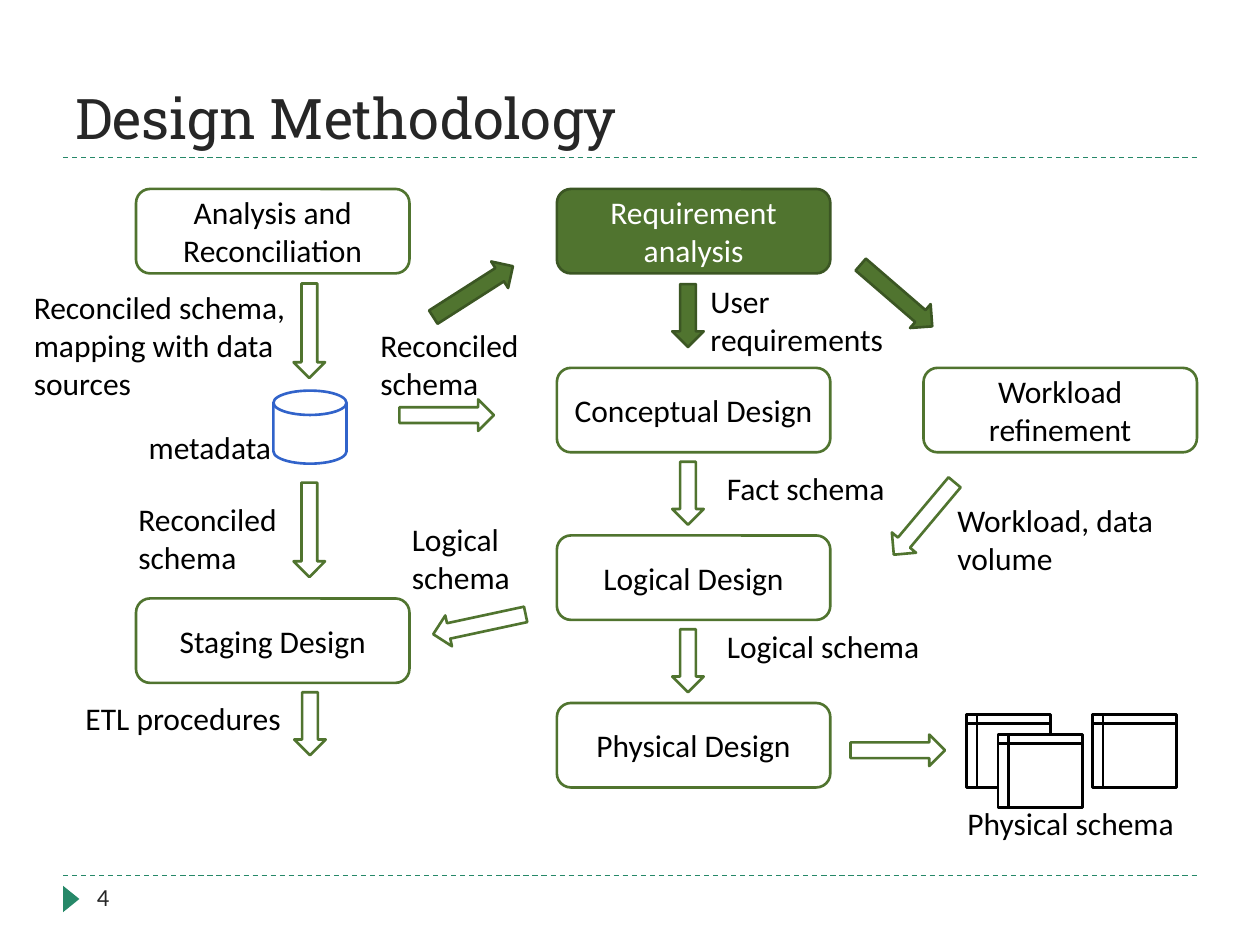
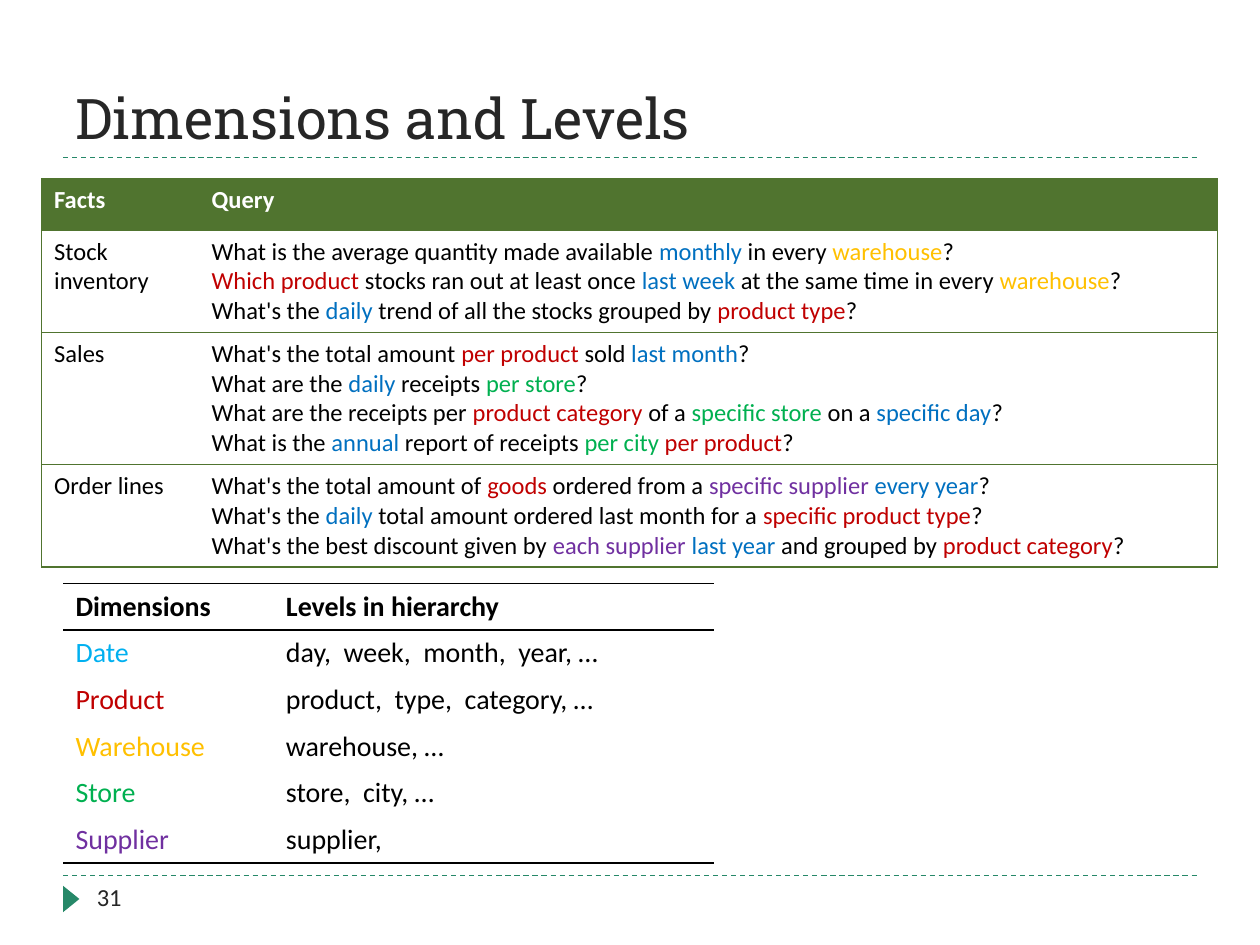
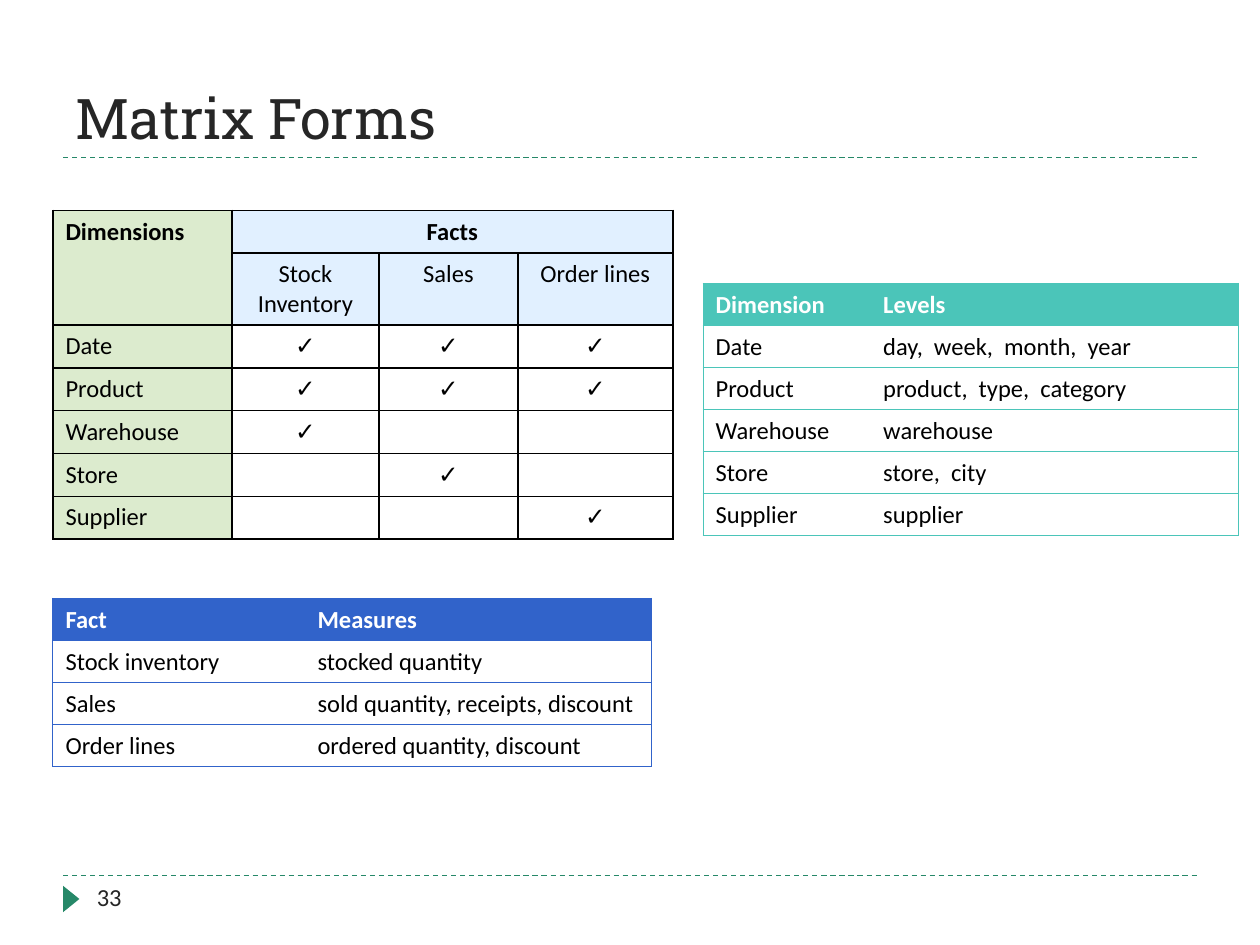
from lxml import etree
from pptx import Presentation
from pptx.dml.color import RGBColor
from pptx.enum import dml, shapes, text
from pptx.oxml.ns import qn
from pptx.util import Inches, Pt

COLORS = {
    "white": "FFFFFF", "black": "000000", "ink": "262626", "rule": "268868",
    "green": "50742F", "dark_green": "3B5623", "blue": "3163CA", "teal": "4BC5B9",
    "pale_green": "DCEBCE", "pale_blue": "E1F0FF",
    "time": "0070C0", "date": "00B0F0", "product": "C00000",
    "warehouse": "FFC000", "store": "00B050", "supplier": "7030A0",
}
BODY_FONT = "Calibri"
TITLE_FONT = "Roboto Slab"
STEP_W, STEP_H = 2.17, 0.67
ARROW_H = 0.25
MARGIN, RULE_W = 0.5, 9
TITLE_RULE_Y, FOOTER_Y = 1.25, 6.95
SHAPE = shapes.MSO_SHAPE
ALIGN = text.PP_ALIGN


def rgb(name):
    return RGBColor.from_string(COLORS[name])


def style(p, size, color="black", bold=False, align=ALIGN.LEFT, font=BODY_FONT):
    p.alignment = align
    p.font.name = font
    p.font.size = Pt(size)
    p.font.bold = bold
    p.font.color.rgb = rgb(color)


def add_text(slide, x, y, w, h, words, size=18, color="black", align=ALIGN.LEFT):
    tf = slide.shapes.add_textbox(Inches(x), Inches(y), Inches(w), Inches(h)).text_frame
    tf.word_wrap = True
    tf.text = words
    for p in tf.paragraphs:
        style(p, size, color, align=align)


def add_shape(slide, kind, x, y, w, h, fill="white", line=None, rotation=0):
    sp = slide.shapes.add_shape(kind, Inches(x), Inches(y), Inches(w), Inches(h))
    sp.shadow.inherit = False
    sp.rotation = rotation
    sp.fill.solid()
    sp.fill.fore_color.rgb = rgb(fill)
    if line:
        sp.line.color.rgb = rgb(line)
        sp.line.width = Pt(1.5)
    else:
        sp.line.fill.background()
    return sp


def add_rule(slide, y):
    rule = slide.shapes.add_connector(
        shapes.MSO_CONNECTOR.STRAIGHT,
        Inches(MARGIN), Inches(y), Inches(MARGIN + RULE_W), Inches(y))
    rule.line.color.rgb = rgb("rule")
    rule.line.width = Pt(0.75)
    rule.line.dash_style = dml.MSO_LINE.DASH
    etree.SubElement(rule._element.spPr, qn("a:effectLst"))


def add_slide(prs, title, number):
    slide = prs.slides.add_slide(prs.slide_layouts[5])
    for y in (FOOTER_Y, TITLE_RULE_Y):
        add_rule(slide, y)
    add_shape(slide, SHAPE.ISOSCELES_TRIANGLE, 0.46, 7.07, 0.21, 0.13, "rule", rotation=90)
    sp = slide.shapes.title
    sp.left, sp.top, sp.width, sp.height = (Inches(n) for n in (MARGIN, 0.17, RULE_W, 1.08))
    tf = sp.text_frame
    tf.auto_size = text.MSO_AUTO_SIZE.NONE
    tf.vertical_anchor = text.MSO_ANCHOR.BOTTOM
    tf.text = title
    style(tf.paragraphs[0], 32, "ink", font=TITLE_FONT)
    add_text(slide, 0.67, FOOTER_Y, 2.17, 0.4, str(number), 14, "ink")
    return slide


def add_step(slide, x, y, words, active=False):
    fill, line, color = ("green", "dark_green", "white") if active else ("white", "green", "black")
    sp = add_shape(slide, SHAPE.FLOWCHART_ALTERNATE_PROCESS, x, y, STEP_W, STEP_H, fill, line)
    tf = sp.text_frame
    tf.word_wrap = True
    tf.vertical_anchor = text.MSO_ANCHOR.MIDDLE
    tf.text = words
    style(tf.paragraphs[0], 18, color, align=ALIGN.CENTER)


def add_flow(slide, left, top, steps=(), arrows=(), labels=()):
    for dx, dy, words, *active in steps:
        add_step(slide, left + dx, top + dy, words, *active)
    for dx, dy, length, angle, *active in arrows:
        fill, line = ("green", "dark_green") if active else ("white", "green")
        add_shape(slide, SHAPE.RIGHT_ARROW, left + dx, top + dy, length, ARROW_H,
                  fill, line, angle)
    for dx, dy, width, lines, words in labels:
        add_text(slide, left + dx, top + dy, width, 0.1 + 0.3 * lines, words)


def staging_flow(slide, left, top):
    add_shape(slide, SHAPE.FLOWCHART_MAGNETIC_DISK, left + 1.09, top + 1.6, 0.58, 0.58,
              line="blue")
    add_text(slide, left - 0.08, top + 1.85, 1.25, 0.4, "metadata", align=ALIGN.RIGHT)
    add_flow(
        slide, left, top,
        steps=[(0, 0, "Analysis and Reconciliation"), (0, 3.25, "Staging Design")],
        arrows=[(1, 1, 0.75, 90), (1, 2.58, 0.75, 90), (1.13, 4.12, 0.5, 90)],
        labels=[(-0.91, 0.74, 2.5, 3, "Reconciled schema, mapping with data sources"),
                (-0.08, 2.42, 1.33, 2, "Reconciled schema"),
                (-0.5, 4, 1.92, 1, "ETL procedures")])


def design_flow(slide, left, top):
    add_flow(
        slide, left, top,
        steps=[(0, 0, "Requirement analysis", True), (0, 1.42, "Conceptual Design"),
               (0, 2.75, "Logical Design"), (0, 4.08, "Physical Design")],
        arrows=[(0.79, 0.88, 0.5, 90, True), (0.79, 2.29, 0.5, 90), (0.79, 3.62, 0.5, 90)],
        labels=[(1.12, 0.69, 2.42, 2, "User\nrequirements"),
                (1.25, 2.17, 1.92, 1, "Fact schema"),
                (1.25, 3.43, 1.92, 1, "Logical schema")])


def schema_links(slide, left, top):
    add_flow(
        slide, left, top,
        arrows=[(0.46, 0, 0.75, 327.4, True), (0.25, 0.98, 0.75, 0), (0.51, 2.64, 0.75, 167.9)],
        labels=[(0, 0.35, 1.33, 2, "Reconciled schema"),
                (0.25, 1.89, 1.17, 2, "Logical schema")])


def workload_flow(slide, left, top):
    add_flow(
        slide, left, top,
        steps=[(0.59, 0.7, "Workload refinement")],
        arrows=[(0, 0, 0.75, 40.8, True), (0.22, 1.77, 0.75, 130)],
        labels=[(0.76, 1.71, 2.42, 2, "Workload, data volume")])


def physical_schema(slide, left, top):
    for dx, dy in ((0.92, 0), (1.17, 0.16), (1.92, 0)):
        add_shape(slide, SHAPE.FLOWCHART_INTERNAL_STORAGE, left + dx, top + dy, 0.67, 0.58,
                  line="black")
    add_flow(slide, left, top, arrows=[(0, 0.16, 0.75, 0)],
             labels=[(0.83, 0.66, 1.92, 1, "Physical schema")])


def set_borders(cell, sides, color, width):
    tc_pr = cell._tc.get_or_add_tcPr()
    for side in "LRTB":
        ln = etree.SubElement(tc_pr, qn("a:ln" + side), w=str(Pt(width)))
        if side in sides:
            fill = etree.SubElement(ln, qn("a:solidFill"))
            etree.SubElement(fill, qn("a:srgbClr"), val=COLORS[color])
        else:
            etree.SubElement(ln, qn("a:noFill"))


def framed(r, c, rows, cols):
    return "TB" + "L" * (c == 0) + "R" * (c == cols - 1)


def ruled(r, c, rows, cols):
    return "T" * (r <= 1) + "B" * (r in (0, rows - 1))


def gridded(r, c, rows, cols):
    return "LRTB"


def write_cell(cell, markup, size, color, bold, align):
    tf = cell.text_frame
    for i, line in enumerate(markup.split("\n")):
        p = tf.add_paragraph() if i else tf.paragraphs[0]
        style(p, size, color, bold, align)
        for j, part in enumerate(line.replace("]", "[").split("[")):
            if not part:
                continue
            r = p.add_run()
            if j % 2:
                key, part = part.split("|")
                r.font.color.rgb = rgb(key)
            r.text = part
        if not line:
            etree.SubElement(p._p, qn("a:endParaRPr"), sz=str(size * 100))


def plain_look(r, c):
    return None, "black", r == 0, ALIGN.LEFT


def banner_look(color):
    def look(r, c):
        return (color, "white", True, ALIGN.LEFT) if r == 0 else plain_look(r, c)
    return look


def matrix_look(r, c):
    fill = "pale_green" if c == 0 else "pale_blue" if r < 2 else None
    return fill, "black", r == 0, ALIGN.CENTER if c else ALIGN.LEFT


def add_table(slide, left, top, cols, heights, rows, look, sides, line, width=0.75, size=14):
    table = slide.shapes.add_table(
        len(rows), len(cols), Inches(left), Inches(top),
        Inches(sum(cols)), Inches(sum(heights))).table
    table.first_row = table.horz_banding = False
    for column, w in zip(table.columns, cols):
        column.width = Inches(w)
    for row, h in zip(table.rows, heights):
        row.height = Inches(h)
    for r, values in enumerate(rows):
        for c, markup in enumerate(values):
            cell = table.cell(r, c)
            fill, color, bold, align = look(r, c)
            set_borders(cell, sides(r, c, len(rows), len(cols)), line, width)
            if fill:
                cell.fill.solid()
                cell.fill.fore_color.rgb = rgb(fill)
            else:
                cell.fill.background()
            write_cell(cell, markup, size, color, bold, align)
    return table


def query_table(slide, left, top):
    rows = [
        ("Facts", "Query"),
        ("Stock inventory",
         "What is the average quantity made available [time|monthly] in every "
         "[warehouse|warehouse]?\n"
         "[product|Which product ]stocks ran out at least once [time|last week ]"
         "at the same time in every [warehouse|warehouse]?\n"
         "What's the [time|daily] trend of all the stocks grouped by [product|product type]?"),
        ("Sales",
         "What's the total amount [product|per product ]sold [time|last month]?\n"
         "What are the [time|daily] receipts [store|per store]?\n"
         "What are the receipts per [product|product category ]of a "
         "[store|specific store ]on a [time|specific day]?\n"
         "What is the [time|annual] report of receipts [store|per city ]"
         "[product|per product]?"),
        ("Order lines",
         "What's the total amount of [product|goods] ordered from a "
         "[supplier|specific supplier ][time|every year]?\n"
         "What's the [time|daily] total amount ordered last month for a "
         "[product|specific product type]?\n"
         "What's the best discount given by [supplier|each supplier ][time|last year ]"
         "and grouped by [product|product category]?"),
    ]
    add_table(slide, left, top, (1.25, 8.08), (0.41, 0.81, 1.05, 0.81), rows,
              banner_look("green"), framed, "green")


def hierarchy_table(slide, left, top):
    rows = [
        ("Dimensions", "Levels in hierarchy"),
        ("[date|Date]", "day,  week,  month,  year, …"),
        ("[product|Product]", "product,  type,  category, …"),
        ("[warehouse|Warehouse]", "warehouse, …"),
        ("[store|Store]", "store,  city, …"),
        ("[supplier|Supplier]", "supplier,"),
    ]
    add_table(slide, left, top, (1.67, 3.5), [0.37] * len(rows), rows,
              plain_look, ruled, "black", 1, 16)


def fact_matrix(slide, left, top):
    usage = {"Date": "111", "Product": "111", "Warehouse": "100",
             "Store": "010", "Supplier": "001"}
    rows = [("Dimensions", "Facts", "", ""), ("", "Stock Inventory", "Sales", "Order lines")]
    rows += [[name] + ["✓" if flag == "1" else "" for flag in flags]
             for name, flags in usage.items()]
    table = add_table(slide, left, top, (1.42, 1.17, 1.1, 1.23),
                      [0.34, 0.57] + [0.34] * len(usage), rows,
                      matrix_look, gridded, "black", 1)
    table.cell(0, 0).merge(table.cell(1, 0))
    table.cell(0, 1).merge(table.cell(0, 3))


def measure_table(slide, left, top):
    rows = [
        ("Fact", "Measures"),
        ("Stock inventory", "stocked quantity"),
        ("Sales", "sold quantity, receipts, discount"),
        ("Order lines", "ordered quantity, discount"),
    ]
    add_table(slide, left, top, (2, 2.75), [0.33] * len(rows), rows,
              banner_look("blue"), framed, "blue")


def level_table(slide, left, top):
    rows = [
        ("Dimension", "Levels"),
        ("Date", "day,  week,  month,  year"),
        ("Product", "product,  type,  category"),
        ("Warehouse", "warehouse"),
        ("Store", "store,  city"),
        ("Supplier", "supplier"),
    ]
    add_table(slide, left, top, (1.33, 2.92), [0.33] * len(rows), rows,
              banner_look("teal"), framed, "teal")


def main():
    prs = Presentation()
    prs.slide_width, prs.slide_height = Inches(10), Inches(7.5)

    s = add_slide(prs, "Design Methodology", 4)
    design_flow(s, 4.42, 1.5)
    workload_flow(s, 6.74, 2.22)
    physical_schema(s, 6.75, 5.67)
    staging_flow(s, 1.08, 1.5)
    schema_links(s, 2.92, 2.19)

    s = add_slide(prs, "Dimensions and Levels", 31)
    query_table(s, 0.33, 1.42)
    hierarchy_table(s, 0.5, 4.63)

    s = add_slide(prs, "Matrix Forms", 33)
    fact_matrix(s, 0.42, 1.67)
    measure_table(s, 0.42, 4.75)
    level_table(s, 5.58, 2.25)

    prs.save("out.pptx")


if __name__ == "__main__":
    main()
